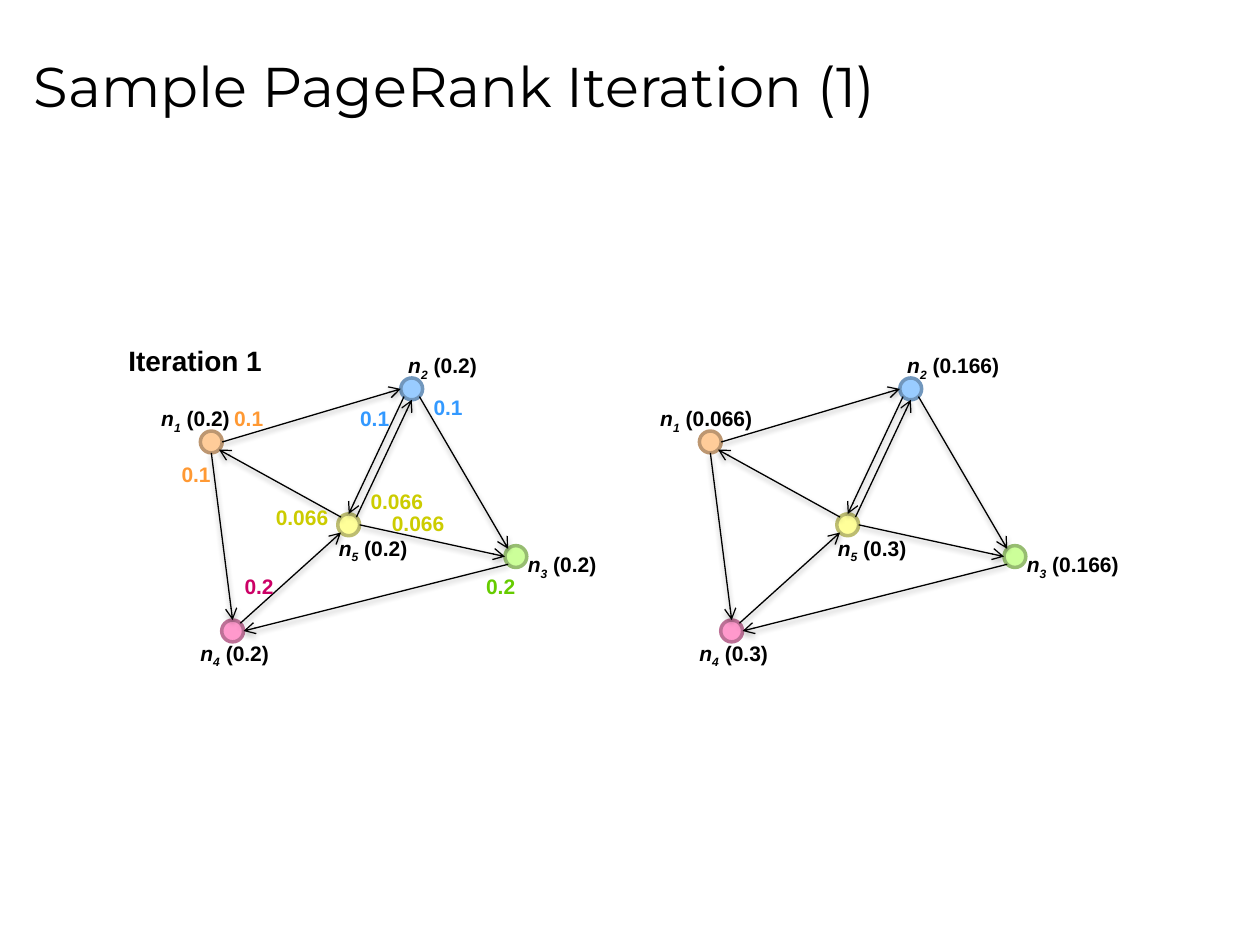
from dataclasses import dataclass
from math import cos, radians, sin

from lxml.etree import SubElement
from pptx import Presentation
from pptx.dml.color import RGBColor
from pptx.enum.shapes import MSO_CONNECTOR, MSO_SHAPE
from pptx.enum.text import MSO_ANCHOR, MSO_AUTO_SIZE, PP_ALIGN
from pptx.oxml.ns import qn
from pptx.util import Cm, Pt


@dataclass(frozen=True)
class Theme:
    title_font: str = "Montserrat"
    body_font: str = "Arial"
    title_size: int = 32
    heading_size: int = 16
    label_size: int = 12
    ink: str = "000000"
    edge_width: float = 0.75
    node_width: float = 2


THEME = Theme()


@dataclass(frozen=True)
class Node:
    """Centre and label corner in cm from the graph's corner, then colours."""
    center: tuple
    label: tuple
    fill: str
    line: str
    share: str


NODES = {
    "1": Node((1.26, 1.92), (0, 1.07), "FFCC99", "BD9771", "FF9933"),
    "2": Node((5.3, 0.85), (4.98, 0), "99CCFF", "7197BD", "3399FF"),
    "4": Node((1.69, 5.73), (0.79, 5.79), "FF99CC", "BD7197", "CC0066"),
    "3": Node((7.4, 4.23), (7.39, 4.01), "CCFF99", "97BD71", "66CC00"),
    "5": Node((4.03, 3.59), (3.58, 3.68), "FFFF99", "BDBD71", "CCCC00"),
}
RADIUS = 0.22

# Connection sites of an ellipse, counter-clockwise from the top
SITES = ["N", "NW", "W", "SW", "S", "SE", "E", "NE"]
EDGES = [
    ("1", "E", "2", "W"), ("5", "NW", "1", "SE"), ("1", "S", "4", "N"),
    ("4", "NE", "5", "SW"), ("5", "NE", "2", "S"), ("2", "SE", "3", "NW"),
    ("5", "E", "3", "W"), ("3", "SW", "4", "E"), ("2", "SW", "5", "N"),
]

# Source node, value passed on, text corner
SHARES = [
    ("1", "0.1", 1.47, 1.07), ("1", "0.1", 0.41, 2.18),
    ("4", "0.2", 1.68, 4.45), ("3", "0.2", 6.55, 4.45),
    ("2", "0.1", 4.01, 1.07), ("2", "0.1", 5.49, 0.84),
    ("5", "0.066", 2.31, 3.05), ("5", "0.066", 4.65, 3.18),
    ("5", "0.066", 4.22, 2.74),
]
RANKS_BEFORE = dict.fromkeys(NODES, "0.2")
RANKS_AFTER = {"1": "0.066", "2": "0.166", "3": "0.166", "4": "0.3", "5": "0.3"}


def rgb(color):
    return RGBColor.from_string(color)


def add_run(p, text, size, color, italic=False, font=THEME.body_font, bold=True):
    r = p.add_run()
    r.text = text
    r.font.name, r.font.size = font, Pt(size)
    r.font.bold, r.font.italic = bold, italic
    r.font.color.rgb = rgb(color)
    return r


def add_text(shapes, x, y, w, h=0.76):
    """Add an unwrapped text box and return its empty paragraph."""
    tf = shapes.add_textbox(Cm(x), Cm(y), Cm(w), Cm(h)).text_frame
    tf.word_wrap = False
    tf.auto_size = MSO_AUTO_SIZE.SHAPE_TO_FIT_TEXT
    return tf.paragraphs[0]


def add_node(shapes, node, x, y):
    cx, cy = node.center
    sp = shapes.add_shape(MSO_SHAPE.OVAL, Cm(x + cx - RADIUS), Cm(y + cy - RADIUS),
                          Cm(2 * RADIUS), Cm(2 * RADIUS))
    sp.shadow.inherit = False
    sp.fill.solid()
    sp.fill.fore_color.rgb = rgb(node.fill)
    sp.line.color.rgb = rgb(node.line)
    sp.line.width = Pt(THEME.node_width)
    return sp


def site_point(node, site, x, y):
    angle = radians(90 + 45 * SITES.index(site))
    cx, cy = node.center
    return Cm(x + cx + RADIUS * cos(angle)), Cm(y + cy - RADIUS * sin(angle))


def add_edge(shapes, ovals, edge, x, y):
    """Add an arrow glued to both of its nodes."""
    start, start_site, end, end_site = edge
    cxn = shapes.add_connector(MSO_CONNECTOR.STRAIGHT,
                               *site_point(NODES[start], start_site, x, y),
                               *site_point(NODES[end], end_site, x, y))
    cxn.line.color.rgb = rgb(THEME.ink)
    cxn.line.width = Pt(THEME.edge_width)
    glue = cxn._element.find(".//" + qn("p:cNvCxnSpPr"))
    for tag, name, site in (("a:stCxn", start, start_site), ("a:endCxn", end, end_site)):
        SubElement(glue, qn(tag), id=str(ovals[name].shape_id),
                   idx=str(SITES.index(site)))
    sp_pr = cxn._element.spPr
    SubElement(sp_pr.find(qn("a:ln")), qn("a:tailEnd"), type="arrow")
    effects = SubElement(sp_pr, qn("a:effectLst"))
    shadow = SubElement(effects, qn("a:outerShdw"), blurRad=str(Pt(3.1)),
                        dist=str(Pt(1.6)), dir="5400000", rotWithShape="0")
    color = SubElement(shadow, qn("a:srgbClr"), val=THEME.ink)
    SubElement(color, qn("a:alpha"), val="38000")


def add_rank(shapes, name, rank, x, y):
    left, top = NODES[name].label
    p = add_text(shapes, x + left, y + top, 1.93 if len(rank) == 3 else 2.41)
    add_run(p, "n", THEME.label_size, THEME.ink, italic=True)
    r = add_run(p, name, THEME.label_size, THEME.ink, italic=True)
    r.font._element.set("baseline", "-25000")
    add_run(p, f" ({rank})", THEME.label_size, THEME.ink)


def add_graph(shapes, x, y, ranks):
    ovals = {name: add_node(shapes, node, x, y) for name, node in NODES.items()}
    for edge in EDGES:
        add_edge(shapes, ovals, edge, x, y)
    for name, rank in ranks.items():
        add_rank(shapes, name, rank, x, y)


def add_shares(shapes, x, y):
    """Add the rank that each node passes along its edges."""
    for name, value, left, top in SHARES:
        p = add_text(shapes, x + left, y + top, 1.12 if len(value) == 3 else 1.57)
        add_run(p, value, THEME.label_size, NODES[name].share)


def set_title(s, text, x, y, w, h):
    title = s.shapes.title
    title.left, title.top, title.width, title.height = Cm(x), Cm(y), Cm(w), Cm(h)
    tf = title.text_frame
    tf.vertical_anchor = MSO_ANCHOR.MIDDLE
    p = tf.paragraphs[0]
    p.alignment = PP_ALIGN.LEFT
    add_run(p, text, THEME.title_size, THEME.ink, font=THEME.title_font, bold=False)


def main():
    prs = Presentation()
    prs.slide_width, prs.slide_height = Cm(25.4), Cm(19.05)
    s = prs.slides.add_slide(prs.slide_layouts[5])
    set_title(s, "Sample PageRank Iteration (1)", 0.43, 0.3, 24.13, 2.84)

    left, top, step = 3, 6.99, 10.06
    add_graph(s.shapes, left, top, RANKS_BEFORE)
    add_shares(s.shapes, left, top)
    add_graph(s.shapes.add_group_shape().shapes, left + step, top, RANKS_AFTER)
    p = add_text(s.shapes, 2.34, 6.81, 3.25, 0.94)
    add_run(p, "Iteration 1", THEME.heading_size, THEME.ink)
    prs.save("out.pptx")


if __name__ == "__main__":
    main()
